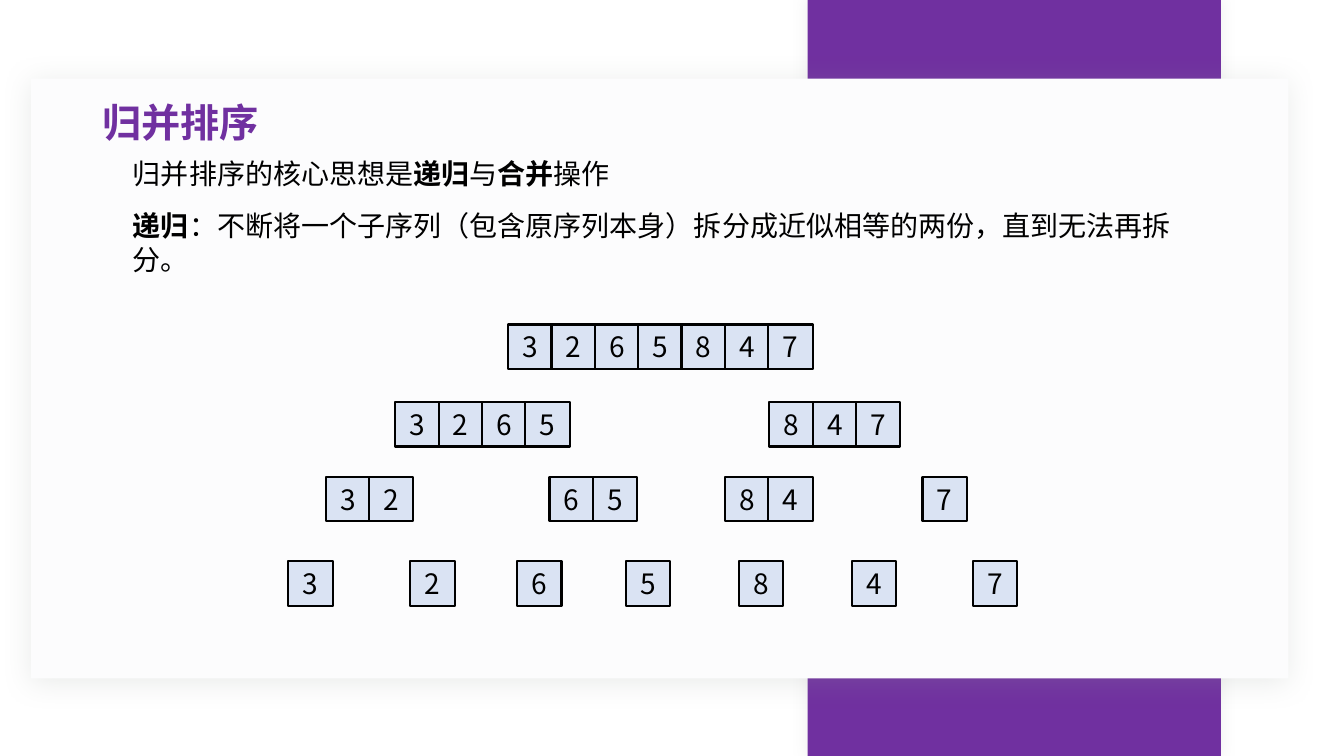
from lxml import etree
from pptx import Presentation
from pptx.dml.color import RGBColor
from pptx.enum import shapes, text
from pptx.oxml import ns
from pptx.util import Inches, Pt

FONT = "Noto Sans CJK JP"
PURPLE, BLACK, PANEL, CELL_BLUE = "7030A0", "000000", "FCFCFD", "DAE3F3"
CELL, PITCH = 0.44, 0.43

# Each level of the split: its top, then the left edge and digits of every part
SPLIT_LEVELS = [
    (3.22, [(5.04, "3265847")]),
    (3.99, [(3.92, "3265"), (7.63, "847")]),
    (4.73, [(3.23, "32"), (5.45, "65"), (7.19, "84"), (9.15, "7")]),
    (5.57, [(2.86, "3"), (4.07, "2"), (5.13, "6"), (6.21, "5"),
            (7.33, "8"), (8.45, "4"), (9.65, "7")]),
]


def color(hex_value):
    return RGBColor.from_string(hex_value)


def add_run(paragraph, words, size=20, bold=False, hex_value=BLACK):
    run = paragraph.add_run()
    run.text = words
    font = run.font
    font.size, font.bold, font.name = Pt(size), bold, FONT
    font.color.rgb = color(hex_value)
    east_asian = etree.SubElement(run._r.get_or_add_rPr(), ns.qn("a:ea"))
    east_asian.set("typeface", FONT)


def add_rect(slide, left, top, width, height, fill):
    rect = slide.shapes.add_shape(
        shapes.MSO_SHAPE.RECTANGLE,
        Inches(left), Inches(top), Inches(width), Inches(height))
    rect.shadow.inherit = False
    rect.fill.solid()
    rect.fill.fore_color.rgb = color(fill)
    rect.line.fill.background()
    return rect


def add_shadow(shape, hex_value, opacity, blur, distance, angle):
    """Opacity is in percent, blur and distance in points, angle in degrees."""
    effects = shape._element.spPr.find(ns.qn("a:effectLst"))
    shadow = etree.SubElement(
        effects, ns.qn("a:outerShdw"), blurRad=str(Pt(blur)),
        dist=str(Pt(distance)), dir=str(angle * 60000),
        algn="ctr", rotWithShape="0")
    tint = etree.SubElement(shadow, ns.qn("a:srgbClr"), val=hex_value)
    etree.SubElement(tint, ns.qn("a:alpha"), val=str(opacity * 1000))


def add_backdrop(slide):
    band = add_rect(slide, 8.01, 0, 4.1, 7.5, PURPLE)
    add_shadow(band, "D5D7D5", 40, 10, 0, 0)
    panel = add_rect(slide, 0.31, 0.78, 12.47, 5.95, PANEL)
    add_shadow(panel, "969F98", 20, 20, 3, 90)


def add_text(slide, left, top, width, height, pieces, wrap=True, **style):
    """Place one paragraph made of (words, bold) pieces."""
    box = slide.shapes.add_textbox(
        Inches(left), Inches(top), Inches(width), Inches(height))
    frame = box.text_frame
    frame.word_wrap = wrap
    frame.auto_size = text.MSO_AUTO_SIZE.SHAPE_TO_FIT_TEXT
    for words, bold in pieces:
        add_run(frame.paragraphs[0], words, bold=bold, **style)


def add_sequence(slide, left, top, digits):
    """Draw one run of adjoining cells, a digit in each."""
    for column, digit in enumerate(digits):
        cell = add_rect(slide, left + column * PITCH, top, CELL, CELL, CELL_BLUE)
        cell.line.color.rgb = color(BLACK)
        cell.line.width = Pt(1.5)
        frame = cell.text_frame
        frame.vertical_anchor = text.MSO_ANCHOR.MIDDLE
        frame.auto_size = text.MSO_AUTO_SIZE.SHAPE_TO_FIT_TEXT
        frame.paragraphs[0].alignment = text.PP_ALIGN.CENTER
        add_run(frame.paragraphs[0], digit)


def add_split_tree(slide):
    for top, parts in SPLIT_LEVELS:
        for left, digits in parts:
            add_sequence(slide, left, top, digits)


def main():
    deck = Presentation()
    deck.slide_width, deck.slide_height = Inches(13.33), Inches(7.5)
    slide = deck.slides.add_slide(deck.slide_layouts[6])
    add_backdrop(slide)
    add_text(slide, 1.22, 1.5, 8.02, 0.44, [
        ("归并排序的核心思想是", False), ("递归", True), ("与", False),
        ("合并", True), ("操作", False)])
    add_text(slide, 1.22, 2.02, 10.63, 0.77, [
        ("递归", True),
        ("：不断将一个子序列（包含原序列本身）拆分成近似相等的两份，直到无法再拆分。", False)])
    add_split_tree(slide)
    add_text(slide, 0.83, 0.93, 1.96, 0.57, [(" 归并排序", True)],
             wrap=False, size=28, hex_value=PURPLE)
    deck.save("out.pptx")


if __name__ == "__main__":
    main()
